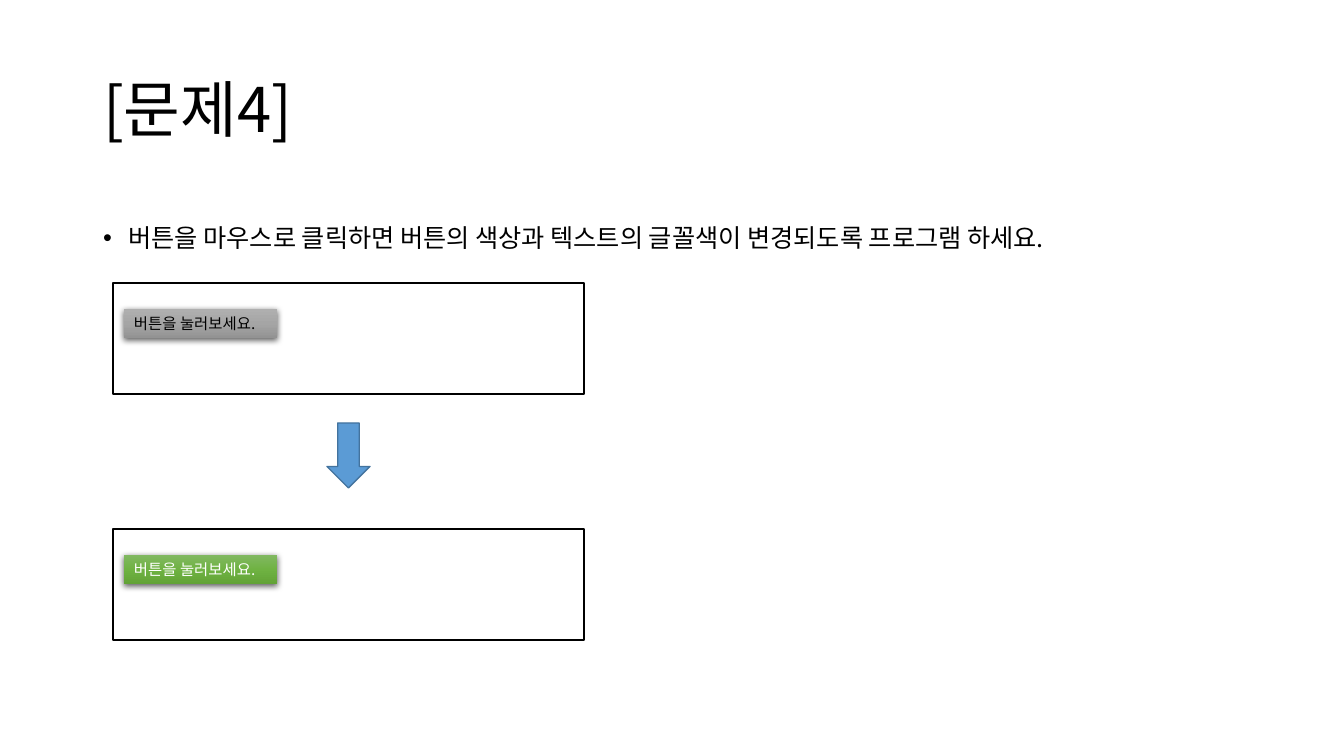
from lxml import etree
from pptx import Presentation
from pptx.dml.color import RGBColor
from pptx.enum.shapes import MSO_SHAPE
from pptx.enum.text import MSO_ANCHOR, MSO_AUTO_SIZE, PP_ALIGN
from pptx.oxml import parse_xml
from pptx.oxml.ns import nsdecls, qn
from pptx.util import Emu, Pt

RECT, DOWN_ARROW = MSO_SHAPE.RECTANGLE, MSO_SHAPE.DOWN_ARROW
TOP, MIDDLE = MSO_ANCHOR.TOP, MSO_ANCHOR.MIDDLE
LEFT = PP_ALIGN.LEFT
GROW = MSO_AUTO_SIZE.SHAPE_TO_FIT_TEXT

BLACK = RGBColor(0x00, 0x00, 0x00)
WHITE = RGBColor(0xFF, 0xFF, 0xFF)
ARROW_BLUE = RGBColor(0x5B, 0x9B, 0xD5)
ARROW_EDGE = RGBColor(0x43, 0x73, 0x9E)
GRAYS = [RGBColor(0xAF, 0xAF, 0xAF), RGBColor(0xA5, 0xA5, 0xA5), RGBColor(0x93, 0x93, 0x93)]
GREENS = [RGBColor(0x81, 0xB8, 0x61), RGBColor(0x6F, 0xB2, 0x42), RGBColor(0x62, 0xA3, 0x36)]

FONT = "Noto Sans CJK KR"
EMU_PER_PIXEL = 914400 / 100.8


def px(pixels):
    return Emu(round(pixels * EMU_PER_PIXEL))


class SlideBuilder:
    def __init__(self, slide):
        self.slide = slide

    def set_text(self, shape, text, size, color, anchor):
        frame = shape.text_frame
        frame.text = text
        frame.vertical_anchor = anchor
        paragraph = frame.paragraphs[0]
        paragraph.alignment = LEFT
        font = paragraph.runs[0].font
        font.name, font.size = FONT, Pt(size)
        font.color.rgb = color
        east_asian = etree.SubElement(font._element, qn("a:ea"))
        east_asian.set("typeface", FONT)
        return paragraph

    def placeholder(self, index, box, text, size, anchor, spacing):
        holder = self.slide.placeholders[index]
        holder.left, holder.top, holder.width, holder.height = map(px, box)
        paragraph = self.set_text(holder, text, size, BLACK, anchor)
        paragraph.line_spacing = spacing
        return paragraph

    def title(self, box, text):
        self.placeholder(0, box, text, 44, MIDDLE, 0.9)

    def bullet(self, box, text):
        paragraph = self.placeholder(1, box, text, 18, TOP, 1.5)
        paragraph.space_before = Pt(10)
        properties = paragraph._p.get_or_add_pPr()
        properties.set("marL", "228600")
        properties.set("indent", "-228600")
        properties.append(parse_xml(f'<a:buChar {nsdecls("a")} char="•"/>'))

    def shape(self, kind, box, fill=None, line=None):
        shape = self.slide.shapes.add_shape(kind, *map(px, box))
        shape.shadow.inherit = False
        if fill is not None:
            shape.fill.solid()
            shape.fill.fore_color.rgb = fill
        if line is None:
            shape.line.fill.background()
        else:
            shape.line.color.rgb = line
            shape.line.width = Pt(1)
        return shape

    def button(self, box, text, colors, text_color):
        button = self.shape(RECT, box)
        button.fill.gradient()
        button.fill.gradient_angle = 270
        properties = button._element.spPr
        stops = properties.find(f".//{qn('a:gsLst')}")
        stops.clear()
        for position, color in zip((0, 50000, 100000), colors):
            stops.append(parse_xml(
                f'<a:gs {nsdecls("a")} pos="{position}"><a:srgbClr val="{color}"/></a:gs>'))
        properties.find(qn("a:effectLst")).append(parse_xml(
            f'<a:outerShdw {nsdecls("a")} blurRad="{Pt(4.5)}" dist="{Pt(1.5)}" dir="5400000"'
            ' algn="ctr" rotWithShape="0"><a:srgbClr val="000000">'
            '<a:alpha val="63000"/></a:srgbClr></a:outerShdw>'))
        self.set_text(button, text, 11, text_color, TOP)
        button.text_frame.word_wrap = False
        button.text_frame.auto_size = GROW


presentation = Presentation()
presentation.slide_width, presentation.slide_height = px(1344), px(756)
page = SlideBuilder(presentation.slides.add_slide(presentation.slide_layouts[1]))

# Problem statement
page.title((93, 40, 1159, 146), "[문제4]")
page.bullet((93, 202, 1159, 480),
            "버튼을 마우스로 클릭하면 버튼의 색상과 텍스트의 글꼴색이 변경되도록 프로그램 하세요.")

# Button before and after the click
for top, colors, text_color in ((283, GRAYS, BLACK), (529, GREENS, WHITE)):
    page.shape(RECT, (113, top, 471, 111), WHITE, BLACK)
    page.button((124, top + 26, 153, 29), "버튼을 눌러보세요.", colors, text_color)

# Change of state
page.shape(DOWN_ARROW, (327, 423, 43, 65), ARROW_BLUE, ARROW_EDGE)

presentation.save("out.pptx")
